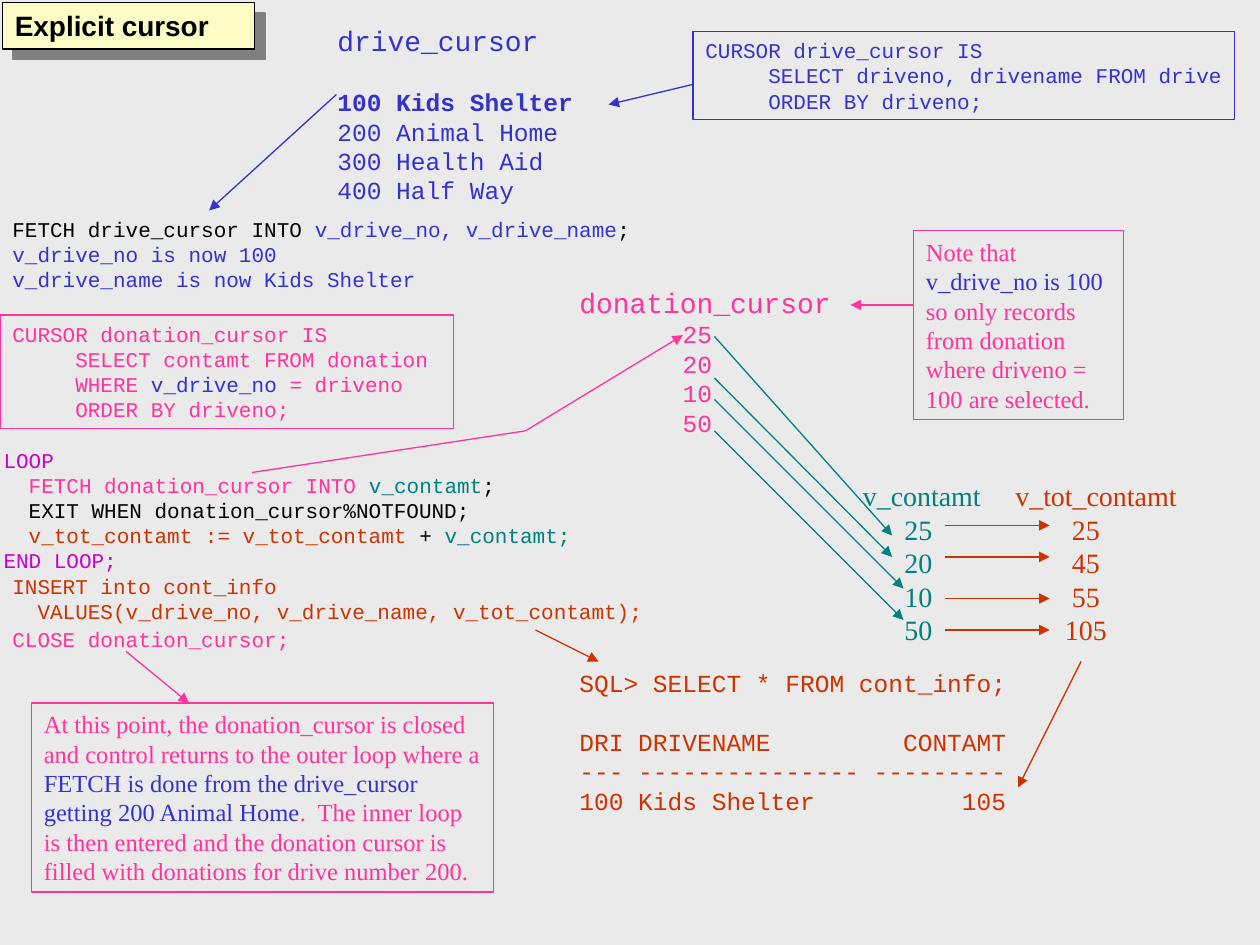
from dataclasses import dataclass

from lxml.etree import SubElement
from pptx import Presentation
from pptx.dml.color import RGBColor
from pptx.enum.shapes import MSO_CONNECTOR as Connector, MSO_SHAPE as Shape
from pptx.enum.text import MSO_ANCHOR as Anchor, MSO_AUTO_SIZE as AutoSize, PP_ALIGN as Align
from pptx.oxml.ns import qn
from pptx.util import Inches, Pt

COLORS = {
    "background": "EAEAEA", "black": "000000", "blue": "3333CC", "pink": "FF3399",
    "teal": "008080", "rust": "CC3300", "purple": "CC00CC",
    "cream": "FCFDC6", "gray": "808080",
}
CODE, PROSE, HEADING = "Courier New", "Times New Roman", "Arial"


@dataclass
class Line:
    spans: list[tuple[str, str]]
    size: float
    bold: bool = False
    before: float = 0
    indent: float = 0
    tabs: tuple[tuple[float, str], ...] = ()


@dataclass
class Box:
    left: float
    top: float
    width: float
    height: float
    lines: list[Line]
    font: str = CODE
    border: str = ""
    fill: str = ""
    wrap: bool = False


@dataclass
class Arrow:
    start: tuple[float, float]
    end: tuple[float, float]
    color: str
    head: bool = True


def rgb(name: str) -> RGBColor:
    return RGBColor.from_string(COLORS[name])


def line(text: str, color: str, size: float = 12, **options) -> Line:
    return Line([(text, color)], size, **options)


def lines(text: str, color: str, size: float = 12, **options) -> list[Line]:
    return [line(row, color, size, **options) for row in text.split("\n")]


def write_line(para, entry: Line, font: str) -> None:
    para.alignment = Align.LEFT
    para.space_before = Pt(entry.before)
    properties = para._p.get_or_add_pPr()
    if entry.indent:
        properties.set("marL", str(Inches(entry.indent)))
        properties.set("indent", "0")
    if entry.tabs:
        stops = SubElement(properties, qn("a:tabLst"))
        for position, kind in entry.tabs:
            SubElement(stops, qn("a:tab"), pos=str(Inches(position)), algn=kind)
    for text, color in entry.spans:
        span = para.add_run()
        span.text = text
        span.font.name = font
        span.font.size = Pt(entry.size)
        span.font.bold = entry.bold
        span.font.color.rgb = rgb(color)


def draw_box(page, box: Box):
    place = [Inches(n) for n in (box.left, box.top, box.width, box.height)]
    if box.border:
        shape = page.shapes.add_shape(Shape.RECTANGLE, *place)
        shape.shadow.inherit = False
        shape.line.color.rgb = rgb(box.border)
        shape.line.width = Pt(0.75)
        if box.fill:
            shape.fill.solid()
            shape.fill.fore_color.rgb = rgb(box.fill)
        else:
            shape.fill.background()
    else:
        shape = page.shapes.add_textbox(*place)
    frame = shape.text_frame
    frame.word_wrap = box.wrap
    frame.auto_size = AutoSize.SHAPE_TO_FIT_TEXT
    frame.vertical_anchor = Anchor.TOP
    for index, entry in enumerate(box.lines):
        para = frame.add_paragraph() if index else frame.paragraphs[0]
        write_line(para, entry, box.font)
    return shape


def add_drop_shadow(shape, color: str, distance: float) -> None:
    effects = shape._element.spPr.find(qn("a:effectLst"))
    shadow = SubElement(effects, qn("a:outerShdw"), dist=str(Pt(distance)),
                        dir="2700000", algn="ctr", rotWithShape="0")
    SubElement(shadow, qn("a:srgbClr"), val=COLORS[color])


def draw_arrow(page, arrow: Arrow) -> None:
    ends = [Inches(n) for n in (*arrow.start, *arrow.end)]
    connector = page.shapes.add_connector(Connector.STRAIGHT, *ends)
    connector.line.color.rgb = rgb(arrow.color)
    connector.line.width = Pt(0.75)
    if arrow.head:
        SubElement(connector.line._get_or_add_ln(), qn("a:tailEnd"), type="triangle")
    SubElement(connector._element.spPr, qn("a:effectLst"))


TITLE = Box(0.02, 0.02, 2, 0.37, [line("Explicit cursor", "black", 16, bold=True)],
            HEADING, "black", "cream", True)

TOTALS = [("25", "25"), ("20", "45"), ("10", "55"), ("50", "105")]
TOTAL_LINES = [
    Line([("v_contamt\t", "teal"), ("v_tot_contamt", "rust")], 16, tabs=((1.21, "l"),)),
    *[Line([(f"\t{amount}\t", "teal"), (total, "rust")], 16,
           tabs=((0.44, "ctr"), (1.77, "ctr"))) for amount, total in TOTALS],
]

BOXES = [
    Box(2.58, 0.14, 2.07, 1.54, [
        line("drive_cursor", "blue", 16),
        line("100 Kids Shelter", "blue", 14, bold=True, before=17),
        *lines("200 Animal Home\n300 Health Aid\n400 Half Way", "blue", 14)]),
    Box(5.5, 0.25, 4.3, 0.7, lines(
        "CURSOR drive_cursor IS\n"
        "     SELECT driveno, drivename FROM drive\n"
        "     ORDER BY driveno;", "blue"), border="blue"),
    Box(0, 2.5, 3.6, 0.9, [
        *lines("CURSOR donation_cursor IS\n     SELECT contamt FROM donation", "pink"),
        Line([("     WHERE ", "pink"), ("v_drive_no", "blue"), (" = driveno", "pink")], 12),
        line("     ORDER BY driveno;", "pink")], border="pink"),
    Box(4.5, 2.22, 2.4, 1.3, [
        line("donation_cursor", "pink", 16),
        *lines("25\n20\n10\n50", "pink", 14, indent=0.82)], wrap=True),
    Box(0, 1.67, 5.1, 0.7, [
        Line([("FETCH drive_cursor INTO ", "black"),
              ("v_drive_no, v_drive_name", "blue"), (";", "black")], 12),
        *lines("v_drive_no is now 100\nv_drive_name is now Kids Shelter", "blue")]),
    Box(7.25, 1.83, 1.67, 1.5, [Line([
        ("Note that ", "pink"), ("v_drive_no is 100", "blue"),
        (" so only records from donation where driveno = 100 are selected.", "pink")], 14)],
        PROSE, "pink", wrap=True),
    Box(-0.17, 3.5, 4.8, 1.1, [
        line(" LOOP", "purple"),
        Line([("   FETCH donation_cursor INTO ", "pink"), ("v_contamt", "teal"),
              (";", "black")], 12),
        line("   EXIT WHEN donation_cursor%NOTFOUND;", "black"),
        Line([("   v_tot_contamt := v_tot_contamt", "rust"), (" + ", "black"),
              ("v_contamt;", "teal")], 12),
        line(" END LOOP;", "purple")]),
    Box(6.75, 3.75, 2.75, 1.5, TOTAL_LINES, PROSE, wrap=True),
    Box(4.5, 5.25, 3.59, 1.27, [
        line("SQL> SELECT * FROM cont_info;", "rust", 14),
        line("DRI DRIVENAME         CONTAMT", "rust", 14, before=17),
        *lines("--- --------------- ---------\n"
               "100 Kids Shelter          105", "rust", 14)]),
    Box(0, 4.5, 5.2, 0.5, lines(
        "INSERT into cont_info\n"
        "  VALUES(v_drive_no, v_drive_name, v_tot_contamt);", "rust")),
    Box(0, 4.92, 2.4, 0.3, [line("CLOSE donation_cursor;", "pink")]),
    Box(0.25, 5.58, 3.67, 1.5, [Line([
        ("At this point, the donation_cursor is closed and control returns to the "
         "outer loop where a ", "pink"),
        ("FETCH is done from the drive_cursor getting 200 Animal Home", "blue"),
        (".  The inner loop is then entered and the donation cursor is filled with "
         "donations for drive number 200.", "pink")], 14)], PROSE, "pink", wrap=True),
]

ARROWS = [
    Arrow((5.5, 0.67), (4.83, 0.83), "blue"),
    Arrow((2.67, 0.75), (1.66, 1.67), "blue"),
    Arrow((2, 3.75), (4.17, 3.42), "pink", head=False),
    Arrow((4.17, 3.42), (5.42, 2.66), "pink"),
    Arrow((7.25, 2.42), (6.75, 2.42), "pink"),
    *[Arrow((5.67, top), end, "teal") for top, end in (
        (2.67, (7.08, 4.25)), (3, (7.08, 4.42)), (3.17, (7.17, 4.67)), (3.42, (7.17, 4.92)))],
    *[Arrow((7.5, top), (8.33, top), "rust") for top in (4.17, 4.42, 4.75, 5)],
    Arrow((8.58, 5.25), (8.08, 6.25), "rust"),
    Arrow((4.25, 5), (4.75, 5.25), "rust"),
    Arrow((1, 5.17), (1.5, 5.58), "pink"),
]


def main() -> None:
    deck = Presentation()
    deck.slide_width, deck.slide_height = Inches(10), Inches(7.5)
    page = deck.slides.add_slide(deck.slide_layouts[6])
    page.background.fill.solid()
    page.background.fill.fore_color.rgb = rgb("background")
    add_drop_shadow(draw_box(page, TITLE), "gray", 8.5)
    for box in BOXES:
        draw_box(page, box)
    for arrow in ARROWS:
        draw_arrow(page, arrow)
    deck.save("out.pptx")


if __name__ == "__main__":
    main()
